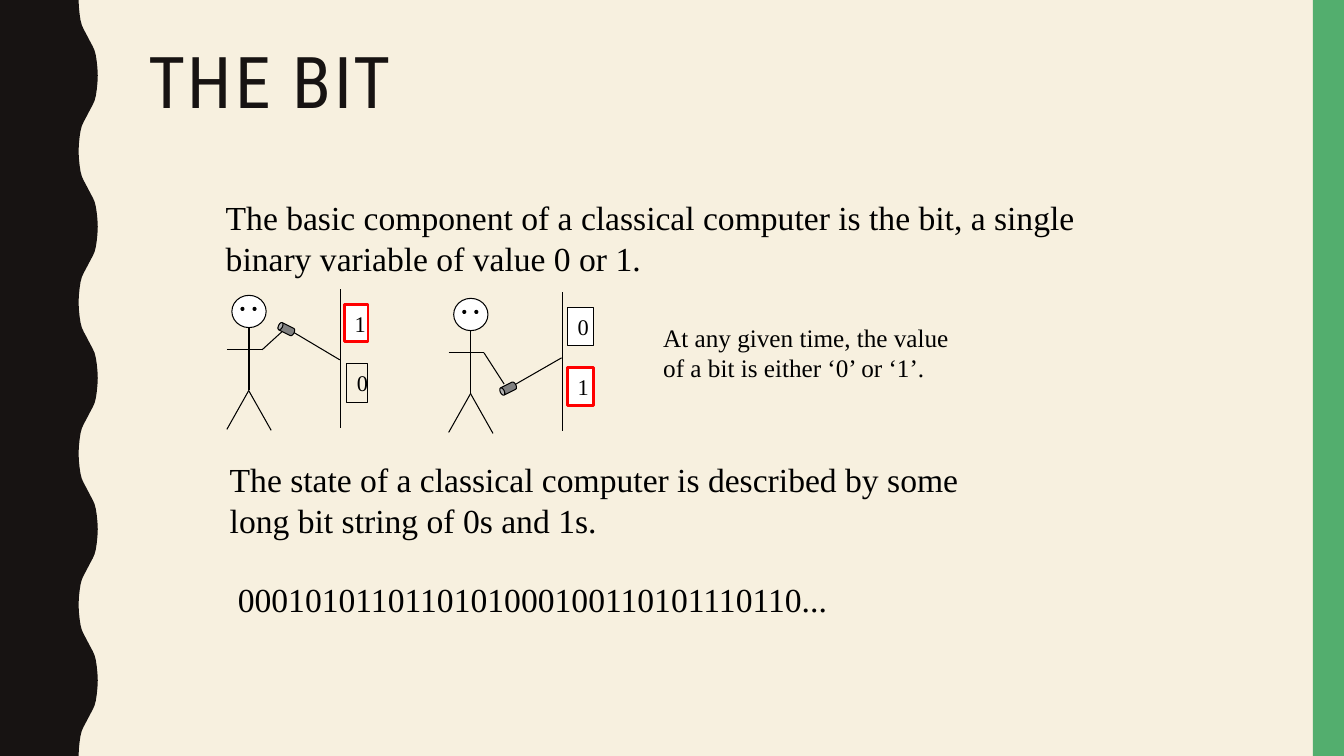
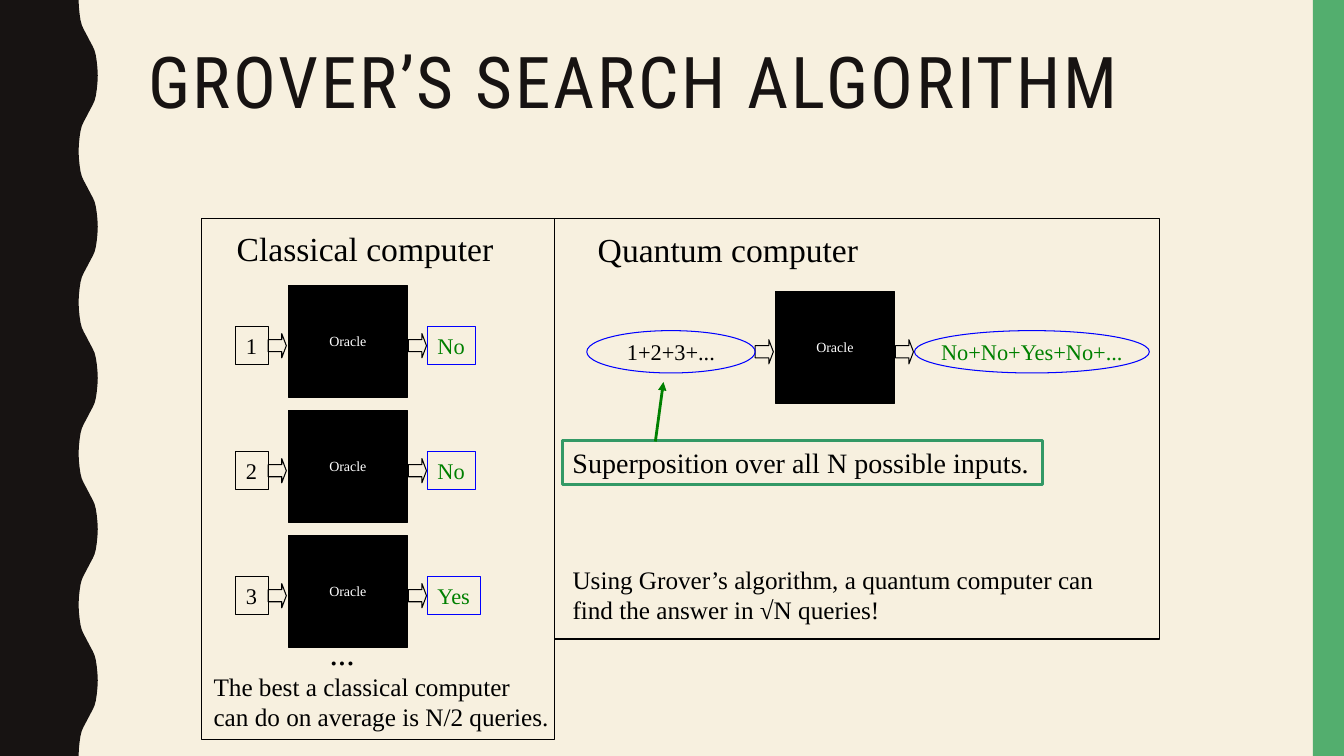
from dataclasses import dataclass
from typing import NamedTuple, Optional

from lxml import etree
from pptx import Presentation
from pptx import util as u
from pptx.dml.color import RGBColor
from pptx.enum import shapes, text
from pptx.oxml import ns

PX = 9144  # EMU; 100 px to the inch
WIDTH, HEIGHT = 1333, 750

CREAM = RGBColor(0xF7, 0xF0, 0xDF)
INK = RGBColor(0x17, 0x13, 0x12)
LEAF = RGBColor(0x53, 0xAE, 0x6E)
BLACK = RGBColor(0x00, 0x00, 0x00)
WHITE = RGBColor(0xFF, 0xFF, 0xFF)
GREY = RGBColor(0x80, 0x80, 0x80)
RED = RGBColor(0xFF, 0x00, 0x00)
BLUE = RGBColor(0x00, 0x00, 0xFF)
GREEN = RGBColor(0x00, 0x80, 0x00)
SEA = RGBColor(0x33, 0x99, 0x66)

TITLE_FONT = "Roboto Condensed"
BODY_FONT = "Times New Roman"
THIN, THICK = 0.75, 2

# First quarter of one wave of the left band, in tenths of a px.
TENTHS = 10
WAVE_QUARTER = [(780, 0), (783, 70), (790, 140), (799, 200),
                (812, 250), (831, 292), (853, 333), (875, 375)]
WAVE_PERIOD = 1500

Kind = shapes.MSO_SHAPE
Align = text.PP_ALIGN


class Box(NamedTuple):
    left: int
    top: int
    width: int
    height: int

    def emu(self) -> list[int]:
        return [length * PX for length in self]


class Point(NamedTuple):
    x: int
    y: int

    def moved(self, dx: int, dy: int) -> "Point":
        return Point(self.x + dx, self.y + dy)


@dataclass
class Look:
    fill: Optional[RGBColor] = None
    line: Optional[RGBColor] = BLACK
    weight: float = THIN


@dataclass
class Lettering:
    size: int
    color: RGBColor = BLACK
    align: Align = Align.LEFT
    wrap: bool = False
    font: str = BODY_FONT


@dataclass
class BitLabel:
    box: Box
    digit: str
    look: Look


@dataclass
class SwitchScene:
    """A stick figure holding a lever up or down beside two bit labels."""
    dx: int
    dy: int
    hand: Point
    lever_start: Point
    lever_end: Point
    grip: Box
    grip_angle: float
    labels: list[BitLabel]


@dataclass
class Query:
    number: str
    answer: str
    answer_width: int


def paint(shape, look: Look) -> None:
    shape.shadow.inherit = False
    if look.fill is None:
        shape.fill.background()
    else:
        shape.fill.solid()
        shape.fill.fore_color.rgb = look.fill
    if look.line is None:
        shape.line.fill.background()
    else:
        shape.line.color.rgb = look.line
        shape.line.width = u.Pt(look.weight)


def write(shape, content: str, lettering: Lettering) -> None:
    """Fill a shape with one paragraph for each line of content."""
    frame = shape.text_frame
    frame.text = content
    frame.word_wrap = lettering.wrap
    frame.vertical_anchor = text.MSO_ANCHOR.MIDDLE
    for paragraph in frame.paragraphs:
        paragraph.alignment = lettering.align
        paragraph.font.size = u.Pt(lettering.size)
        paragraph.font.name = lettering.font
        paragraph.font.color.rgb = lettering.color


def add_text(slide, box: Box, content: str, lettering: Lettering):
    shape = slide.shapes.add_textbox(*box.emu())
    write(shape, content, lettering)
    if not lettering.wrap:
        shape.text_frame.auto_size = text.MSO_AUTO_SIZE.SHAPE_TO_FIT_TEXT
    return shape


def add_shape(slide, kind: Kind, box: Box, look: Look, content: str = "",
              lettering: Optional[Lettering] = None):
    shape = slide.shapes.add_shape(kind, *box.emu())
    paint(shape, look)
    if lettering:
        write(shape, content, lettering)
    return shape


def add_line(slide, start: Point, end: Point, color: RGBColor = BLACK,
             weight: float = THIN, arrow: bool = False) -> None:
    connector = slide.shapes.add_connector(
        shapes.MSO_CONNECTOR.STRAIGHT, *(value * PX for value in (*start, *end)))
    connector.line.color.rgb = color
    connector.line.width = u.Pt(weight)
    if arrow:
        outline = connector.line._get_or_add_ln()
        etree.SubElement(outline, ns.qn("a:tailEnd"), type="triangle")
    etree.SubElement(connector._element.spPr, ns.qn("a:effectLst"))


def add_wavy_band(slide) -> None:
    middle_x, middle_y = WAVE_QUARTER[-1]
    half = WAVE_QUARTER + [(2 * middle_x - x, 2 * middle_y - y) for x, y in WAVE_QUARTER[-2::-1]]
    wave = half + [(x, WAVE_PERIOD - y) for x, y in half[-2::-1]]
    bottom = HEIGHT * TENTHS
    edge = [(x, y + top) for top in range(0, bottom, WAVE_PERIOD) for x, y in wave]
    builder = slide.shapes.build_freeform(0, 0, scale=PX / TENTHS)
    builder.add_line_segments(edge + [(0, bottom)], close=True)
    paint(builder.convert_to_shape(), Look(INK, None))


def add_themed_slide(presentation, title: str):
    slide = presentation.slides.add_slide(presentation.slide_layouts[6])
    slide.background.fill.solid()
    slide.background.fill.fore_color.rgb = CREAM
    add_wavy_band(slide)
    add_shape(slide, Kind.RECTANGLE, Box(1302, 0, 31, HEIGHT), Look(LEAF, None))
    shape = add_text(slide, Box(137, 42, 1113, 163), title,
                     Lettering(51, INK, wrap=True, font=TITLE_FONT))
    shape.text_frame.vertical_anchor = text.MSO_ANCHOR.TOP
    paragraph = shape.text_frame.paragraphs[0]
    paragraph.line_spacing = 0.9
    paragraph.runs[0]._r.get_or_add_rPr().set("spc", "200")
    return slide


def add_switch_scene(slide, scene: SwitchScene) -> None:
    dx, dy = scene.dx, scene.dy
    add_shape(slide, Kind.OVAL, Box(230 + dx, 293 + dy, 34, 32), Look(WHITE))
    for eye_left in (239, 251):
        add_shape(slide, Kind.OVAL, Box(eye_left + dx, 305 + dy, 3, 3), Look(BLACK))
    shoulder = Point(260, 347)
    limbs = [
        (Point(247, 325), Point(247, 387)),
        (Point(247, 387), Point(225, 426)),
        (Point(247, 388), Point(269, 427)),
        (Point(225, 347), shoulder),
        (Point(338, 287), Point(338, 425)),
    ]
    for start, end in limbs:
        add_line(slide, start.moved(dx, dy), end.moved(dx, dy))
    add_line(slide, shoulder.moved(dx, dy), scene.hand)
    add_line(slide, scene.lever_start, scene.lever_end)
    grip = add_shape(slide, Kind.CAN, scene.grip, Look(GREY))
    grip.adjustments[0] = 0.51
    grip.rotation = scene.grip_angle
    for label in scene.labels:
        add_shape(slide, Kind.RECTANGLE, label.box, label.look, label.digit,
                  Lettering(16, align=Align.CENTER, wrap=True))


def add_oracle(slide, left: int, top: int) -> None:
    """Draw the black box with an arrow going in and one coming out."""
    add_shape(slide, Kind.RECTANGLE, Box(left, top, 118, 111), Look(BLACK), "Oracle",
              Lettering(10, WHITE, Align.CENTER))
    for arrow_left in (left - 20, left + 119):
        arrow = add_shape(slide, Kind.RIGHT_ARROW, Box(arrow_left, top + 48, 18, 24), Look())
        arrow.adjustments[1] = 0.25


def build_bit_slide(presentation) -> None:
    slide = add_themed_slide(presentation, "THE BIT")
    on, off = Look(WHITE, RED, THICK), Look(WHITE)
    scenes = [
        SwitchScene(0, 0, Point(282, 327), Point(337, 357), Point(290, 329),
                    Box(280, 318, 8, 17), 296.7,
                    [BitLabel(Box(342, 302, 23, 37), "1", on),
                     BitLabel(Box(344, 361, 21, 38), "0", Look())]),
        SwitchScene(220, 3, Point(500, 381), Point(557, 355), Point(510, 382),
                    Box(500, 377, 8, 17), 243.3,
                    [BitLabel(Box(563, 305, 26, 38), "0", off),
                     BitLabel(Box(563, 365, 26, 37), "1", on)]),
    ]
    for scene in scenes:
        add_switch_scene(slide, scene)

    large = Lettering(24)
    add_text(slide, Box(214, 190, 878, 91),
             "The basic component of a classical computer is the bit, a single\n"
             "binary variable of value 0 or 1.", large)
    add_text(slide, Box(218, 450, 758, 91),
             "The state of a classical computer is described by some\n"
             "long bit string of 0s and 1s.", large)
    add_text(slide, Box(226, 569, 612, 50), "0001010110110101000100110101110110...", large)
    add_text(slide, Box(648, 314, 306, 71),
             "At any given time, the value\nof a bit is either ‘0’ or ‘1’.", Lettering(18))


def add_classical_panel(slide) -> None:
    add_shape(slide, Kind.RECTANGLE, Box(200, 217, 350, 517), Look())
    add_text(slide, Box(225, 221, 276, 50), "Classical computer", Lettering(24))
    queries = [Query("1", "No", 48), Query("2", "No", 48), Query("3", "Yes", 53)]
    for row, query in enumerate(queries):
        top = 283 + 124 * row
        add_oracle(slide, 286, top)
        add_shape(slide, Kind.RECTANGLE, Box(234, top + 41, 32, 38), Look(),
                  query.number, Lettering(16))
        add_shape(slide, Kind.RECTANGLE, Box(424, top + 41, query.answer_width, 38),
                  Look(line=BLUE), query.answer, Lettering(16, GREEN))
    add_text(slide, Box(317, 622, 45, 50), "...", Lettering(24))
    add_text(slide, Box(202, 661, 353, 70),
             "The best a classical computer\ncan do on average is N/2 queries.", Lettering(18))


def add_quantum_panel(slide) -> None:
    add_shape(slide, Kind.RECTANGLE, Box(550, 217, 600, 417), Look())
    add_text(slide, Box(583, 222, 278, 50), "Quantum computer", Lettering(24))
    add_oracle(slide, 769, 289)
    add_shape(slide, Kind.OVAL, Box(582, 328, 167, 42), Look(line=BLUE),
              "1+2+3+...", Lettering(16, align=Align.CENTER))
    add_shape(slide, Kind.OVAL, Box(907, 328, 233, 42), Look(line=BLUE),
              "No+No+Yes+No+...", Lettering(16, GREEN, Align.CENTER))
    add_shape(slide, Kind.RECTANGLE, Box(558, 437, 476, 44), Look(line=SEA, weight=THICK),
              "Superposition over all N possible inputs.", Lettering(20))
    add_line(slide, Point(650, 438), Point(658, 379), GREEN, THICK, arrow=True)
    add_text(slide, Box(558, 555, 575, 70),
             "Using Grover’s algorithm, a quantum computer can find the answer in √N queries!",
             Lettering(18, wrap=True))


def build_grover_slide(presentation) -> None:
    slide = add_themed_slide(presentation, "GROVER’S SEARCH ALGORITHM")
    add_classical_panel(slide)
    add_quantum_panel(slide)


def main() -> None:
    presentation = Presentation()
    presentation.slide_width = WIDTH * PX
    presentation.slide_height = HEIGHT * PX
    build_bit_slide(presentation)
    build_grover_slide(presentation)
    presentation.save("out.pptx")


if __name__ == "__main__":
    main()
